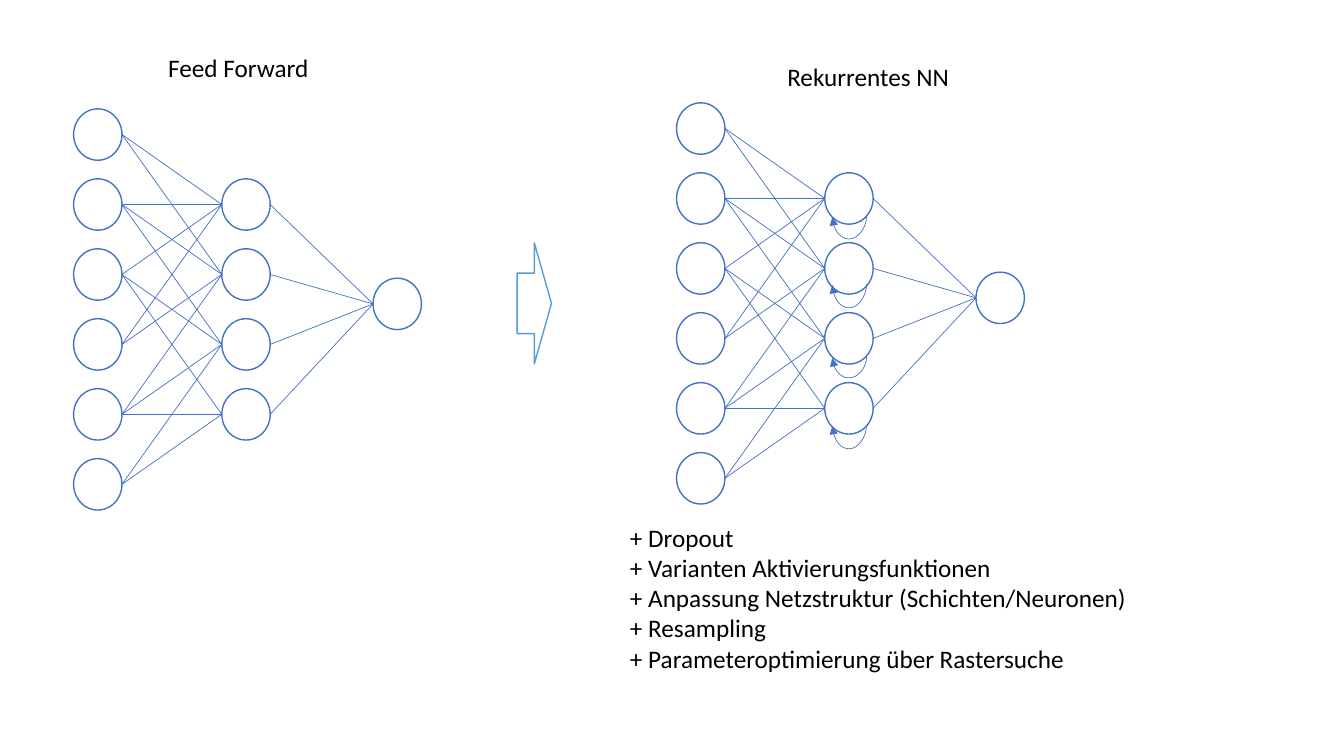
import pptx
import pptx.dml.color
import pptx.enum.shapes
import pptx.oxml.ns
import pptx.oxml.xmlchemy
import pptx.util

Inches = pptx.util.Inches
Pt = pptx.util.Pt
RGBColor = pptx.dml.color.RGBColor
OxmlElement = pptx.oxml.xmlchemy.OxmlElement
qn = pptx.oxml.ns.qn
SHAPE = pptx.enum.shapes.MSO_SHAPE
CONNECTOR = pptx.enum.shapes.MSO_CONNECTOR

BLUE = RGBColor(0x44, 0x72, 0xC4)
LIGHT_BLUE = RGBColor(0x5B, 0x9B, 0xD5)
WHITE = RGBColor(0xFF, 0xFF, 0xFF)
BLACK = RGBColor(0x00, 0x00, 0x00)

NEURON_WIDTH, NEURON_HEIGHT = 0.48, 0.51
ROW_PITCH = 3.47 / 5
HIDDEN_OFFSET, OUTPUT_OFFSET = 1.47, 2.97
OUTPUT_DROP = 1.68
# Hidden neurons reached from each input neuron
INPUT_LINKS = [(0, 1), (0, 1, 2), (0, 2, 3), (0, 1), (1, 2, 3), (2, 3)]
# Start below the neuron centre and depth of each recurrent loop
LOOPS = [(0.18, 0.23), (0.16, 0.24), (0.19, 0.21), (0.17, 0.24)]
LOOP_SPAN, LOOP_RISE = 0.34, 0.01

presentation = pptx.Presentation()
presentation.slide_width = Inches(13.33)
presentation.slide_height = Inches(7.5)
slide = presentation.slides.add_slide(presentation.slide_layouts[6])


def add_text(text, left, top, width, height, size=18, font="Calibri", color=BLACK):
    box = slide.shapes.add_textbox(Inches(left), Inches(top), Inches(width), Inches(height))
    frame = box.text_frame
    frame.word_wrap = True
    frame.text = text
    for paragraph in frame.paragraphs:
        paragraph.font.size = Pt(size)
        paragraph.font.name = font
        paragraph.font.color.rgb = color


def add_line(start, end, kind=CONNECTOR.STRAIGHT):
    line = slide.shapes.add_connector(kind, *[Inches(value) for value in (*start, *end)])
    line.line.color.rgb = BLUE
    line.line.width = Pt(0.5)
    line._element.spPr.append(OxmlElement("a:effectLst"))
    return line


# Both networks: six input, four hidden and one output neuron
for left, top, recurrent in [(0.73, 1.08, False), (6.71, 1.02, True)]:
    inputs = [(left, top + row * ROW_PITCH) for row in range(6)]
    hidden = [(left + HIDDEN_OFFSET, top + row * ROW_PITCH) for row in range(1, 5)]
    output = (left + OUTPUT_OFFSET, top + OUTPUT_DROP)

    for x, y in [*inputs, *hidden, output]:
        neuron = slide.shapes.add_shape(
            SHAPE.OVAL, Inches(x), Inches(y), Inches(NEURON_WIDTH), Inches(NEURON_HEIGHT))
        neuron.shadow.inherit = False
        neuron.fill.background()
        neuron.line.color.rgb = BLUE
        neuron.line.width = Pt(1)

    # Links run from the right edge of one neuron to the left edge of the next
    links = [(inputs[row], hidden[target])
             for row, targets in enumerate(INPUT_LINKS) for target in targets]
    links += [(neuron, output) for neuron in hidden]
    for (x1, y1), (x2, y2) in links:
        add_line((x1 + NEURON_WIDTH, y1 + NEURON_HEIGHT / 2), (x2, y2 + NEURON_HEIGHT / 2))

    # Recurrent loops: curved connectors turned by 90 degrees
    if recurrent:
        for (x, y), (drop, depth) in zip(hidden, LOOPS):
            loop_x = x + NEURON_WIDTH / 2
            loop_y = y + NEURON_HEIGHT / 2 + drop
            loop = add_line((loop_x, loop_y - LOOP_SPAN / 2),
                            (loop_x + LOOP_RISE, loop_y + LOOP_SPAN / 2), CONNECTOR.CURVE)
            properties = loop._element.spPr
            properties.find(qn("a:xfrm")).set("rot", str(90 * 60000))
            guide = OxmlElement("a:gd")
            guide.set("name", "adj1")
            guide.set("fmla", f"val {round(depth / LOOP_RISE * 100000)}")
            properties.find(qn("a:prstGeom")).get_or_add_avLst().append(guide)
            arrowhead = OxmlElement("a:tailEnd")
            arrowhead.set("type", "triangle")
            properties.find(qn("a:ln")).append(arrowhead)

# Arrow between the networks
arrow = slide.shapes.add_shape(
    SHAPE.RIGHT_ARROW, Inches(5.13), Inches(2.41), Inches(0.34), Inches(1.2))
arrow.shadow.inherit = False
arrow.fill.solid()
arrow.fill.fore_color.rgb = WHITE
arrow.line.color.rgb = LIGHT_BLUE
arrow.line.width = Pt(1)

# Headings and list of extensions
add_text("Feed Forward", left=1.57, top=0.47, width=1.67, height=0.4)
add_text("Rekurrentes NN", left=7.71, top=0.56, width=2.38, height=0.4)
extensions = [
    "+ Dropout",
    "+ Varianten Aktivierungsfunktionen",
    "+ Anpassung Netzstruktur (Schichten/Neuronen)",
    "+ Resampling",
    "+ Parameteroptimierung über Rastersuche",
]
add_text("\n".join(extensions), left=6.15, top=5.13, width=5.27, height=1.62)

presentation.save("out.pptx")
